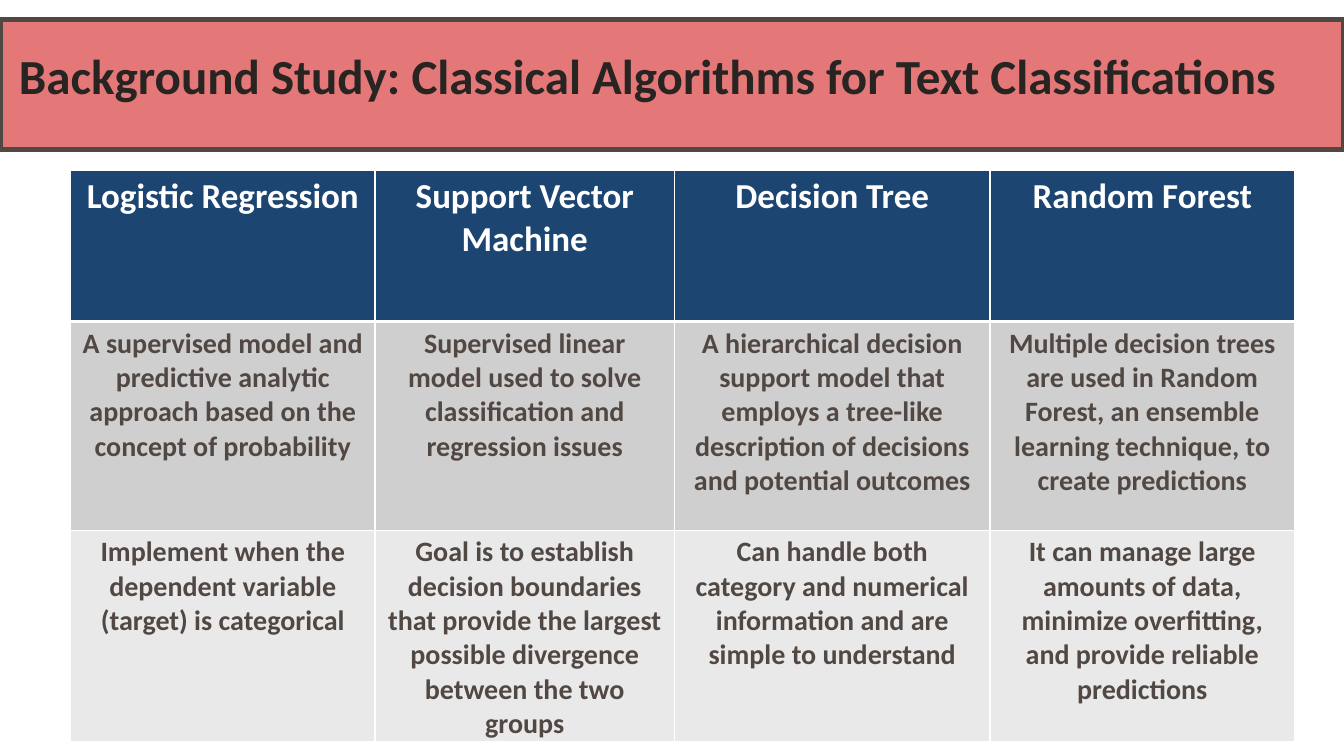
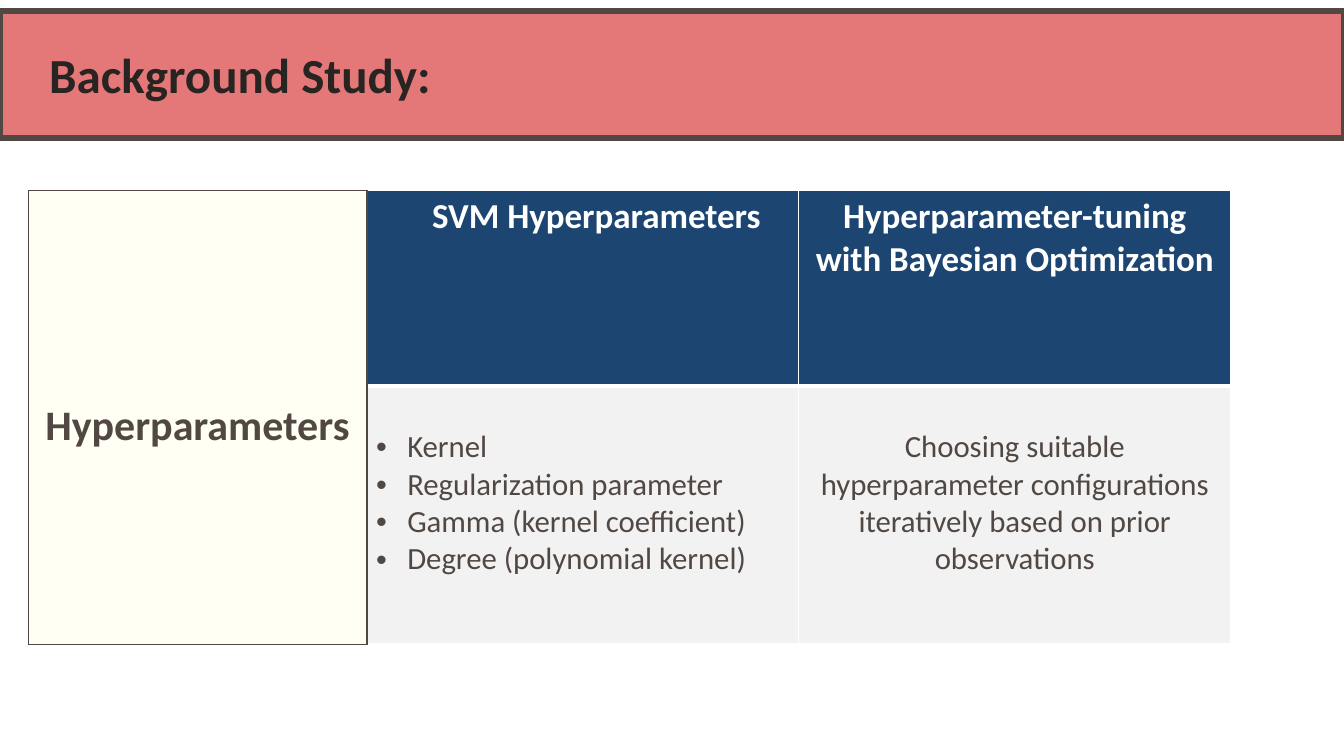
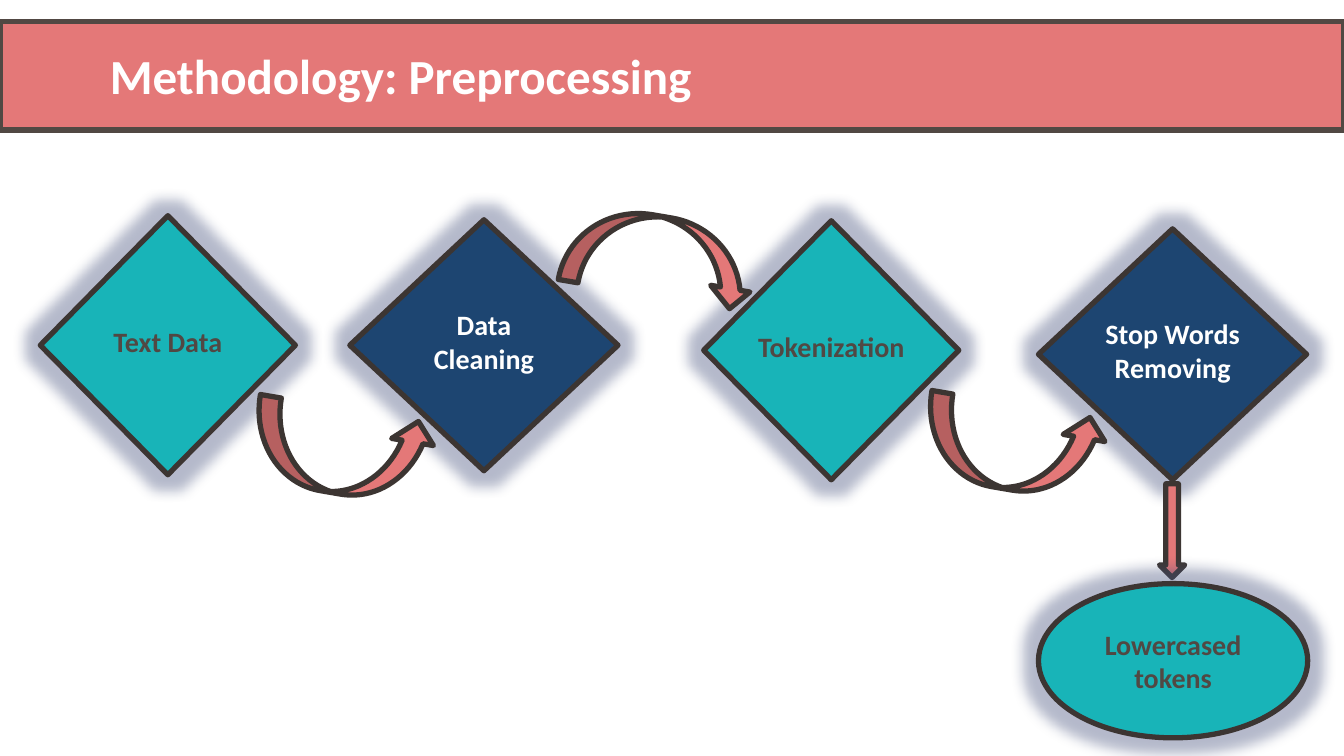
from lxml import etree
from pptx import Presentation
from pptx.dml.color import RGBColor
from pptx.enum.shapes import MSO_SHAPE
from pptx.enum.text import MSO_ANCHOR, MSO_AUTO_SIZE, PP_ALIGN
from pptx.oxml.ns import qn
from pptx.util import Inches, Pt

CENTER, LEFT = PP_ALIGN.CENTER, PP_ALIGN.LEFT
TOP, MIDDLE = MSO_ANCHOR.TOP, MSO_ANCHOR.MIDDLE
GROW = MSO_AUTO_SIZE.SHAPE_TO_FIT_TEXT
RECTANGLE, DIAMOND, OVAL = MSO_SHAPE.RECTANGLE, MSO_SHAPE.DIAMOND, MSO_SHAPE.OVAL
CURVED_UP, CURVED_DOWN = MSO_SHAPE.CURVED_UP_ARROW, MSO_SHAPE.CURVED_DOWN_ARROW
DOWN = MSO_SHAPE.DOWN_ARROW

FONT = "Calibri"
WHITE = RGBColor(0xFF, 0xFF, 0xFF)
CORAL = RGBColor(0xE4, 0x78, 0x78)
BROWN = RGBColor(0x51, 0x48, 0x43)
DARK_BROWN = RGBColor(0x3C, 0x35, 0x32)
INK = RGBColor(0x28, 0x24, 0x22)
NAVY = RGBColor(0x1D, 0x45, 0x71)
TEAL = RGBColor(0x18, 0xB4, 0xB8)
CREAM = RGBColor(0xFF, 0xFF, 0xF3)
GRAY = RGBColor(0xD0, 0xCF, 0xCF)
LIGHT_GRAY = RGBColor(0xE9, 0xE9, 0xE9)
PALE_GRAY = RGBColor(0xF2, 0xF2, 0xF2)
GLOW = RGBColor(0x46, 0x52, 0x7D)

SLIDE_WIDTH, SLIDE_HEIGHT = 13.33, 7.5
LINE_WIDTH = 3.78

ALGORITHMS = [
    ("Logistic Regression", "Support Vector Machine", "Decision Tree", "Random Forest"),
    (
        "A supervised model and predictive analytic approach based on the concept of probability",
        "Supervised linear model used to solve classification and regression issues",
        "A hierarchical decision support model that employs a tree-like description of decisions "
        "and potential outcomes",
        "Multiple decision trees are used in Random Forest, an ensemble learning technique, "
        "to create predictions",
    ),
    (
        "Implement when the dependent variable (target) is categorical",
        "Goal is to establish decision boundaries that provide the largest possible divergence "
        "between the two groups",
        "Can handle both category and numerical information and are simple to understand",
        "It can manage large amounts of data, minimize overfitting, and provide reliable predictions",
    ),
]
TUNING_HEADERS = ("SVM Hyperparameters", "Hyperparameter-tuning with Bayesian Optimization")
SVM_HYPERPARAMETERS = [
    "Kernel",
    "Regularization parameter",
    "Gamma (kernel coefficient)",
    "Degree (polynomial kernel)",
]
TUNING_SUMMARY = "Choosing suitable hyperparameter configurations iteratively based on prior observations"

STEPS = [
    ("Text Data", DIAMOND, (0.4, 2.14, 2.53, 2.57), TEAL, BROWN, (1.46, 0.44)),
    ("Data Cleaning", DIAMOND, (3.47, 2.18, 2.66, 2.49), NAVY, WHITE, (1.54, 0.77)),
    ("Tokenization", DIAMOND, (6.98, 2.19, 2.53, 2.57), TEAL, BROWN, (1.69, 0.44)),
    ("Stop Words Removing", DIAMOND, (10.3, 2.27, 2.66, 2.49), NAVY, WHITE, (1.71, 0.77)),
]
RESULT = ("Lowercased tokens", OVAL, (10.3, 5.79, 2.67, 1.53), TEAL, BROWN, (1.98, 0.77))
ARROWS = [
    (CURVED_UP, (2.5, 4.06, 1.8, 0.84), 9.7),
    (CURVED_DOWN, (5.59, 2.15, 1.92, 0.79), 9.7),
    (CURVED_UP, (9.16, 4.02, 1.8, 0.84), 9.7),
    (DOWN, (11.5, 4.8, 0.25, 0.93), 0),
]


def inches(box):
    return [Inches(value) for value in box]


def write(text_frame, lines, size, color, bold=True, align=CENTER):
    for index, line in enumerate(lines):
        paragraph = text_frame.paragraphs[0] if index == 0 else text_frame.add_paragraph()
        paragraph.text = line
        paragraph.alignment = align
        font = paragraph.runs[0].font
        font.name, font.size, font.bold = FONT, Pt(size), bold
        font.color.rgb = color


def add_text(slide, box, text, size, color, align=CENTER, anchor=MIDDLE):
    text_frame = slide.shapes.add_textbox(*inches(box)).text_frame
    text_frame.word_wrap = True
    text_frame.auto_size = GROW
    text_frame.vertical_anchor = anchor
    write(text_frame, [text], size, color, align=align)


def add_outlined(slide, preset, box, fill, line):
    shape = slide.shapes.add_shape(preset, *inches(box))
    shape.shadow.inherit = False
    shape.fill.solid()
    shape.fill.fore_color.rgb = fill
    shape.line.color.rgb = line
    shape.line.width = Pt(LINE_WIDTH)
    return shape


def add_titled_slide(presentation, title, band, title_box, color=INK):
    slide = presentation.slides.add_slide(presentation.slide_layouts[6])
    top, height = band
    left, title_top, width = title_box
    add_outlined(slide, RECTANGLE, (0, top, SLIDE_WIDTH, height), CORAL, BROWN)
    add_text(slide, (left, title_top, width, 0.69), title, 35, color, LEFT, TOP)
    return slide


def add_grid(slide, left, top, widths, heights):
    box = inches((left, top, sum(widths), sum(heights)))
    table = slide.shapes.add_table(len(heights), len(widths), *box).table
    table.horz_banding = False
    for column, width in zip(table.columns, widths):
        column.width = Inches(width)
    for row, height in zip(table.rows, heights):
        row.height = Inches(height)
    return table


def fill_cell(cell, lines, size, color, fill, bold=True, align=CENTER, border=WHITE, bottom=1):
    cell.fill.solid()
    cell.fill.fore_color.rgb = fill
    write(cell.text_frame, lines, size, color, bold, align)
    properties = cell._tc.get_or_add_tcPr()
    for position, side in enumerate("LRTB"):
        width = Pt(bottom if side == "B" else 1)
        line = etree.Element(qn(f"a:ln{side}"), w=str(width))
        solid = etree.SubElement(line, qn("a:solidFill"))
        etree.SubElement(solid, qn("a:srgbClr"), val=str(border))
        properties.insert(position, line)


def fill_header(table, headers):
    for column, header in enumerate(headers):
        fill_cell(table.cell(0, column), [header], 25, WHITE, NAVY, bottom=3)


def add_bullet(paragraph):
    indent = Inches(0.31)
    properties = paragraph._p.get_or_add_pPr()
    properties.set("marL", str(indent))
    properties.set("indent", str(-indent))
    etree.SubElement(properties, qn("a:buFont"), typeface="Arial")
    etree.SubElement(properties, qn("a:buChar"), char="•")


def add_glow(shape):
    effects = shape._element.spPr.find(qn("a:effectLst"))
    glow = etree.SubElement(effects, qn("a:glow"), rad=str(Pt(18)))
    color = etree.SubElement(glow, qn("a:srgbClr"), val=str(GLOW))
    etree.SubElement(color, qn("a:alpha"), val="40000")


def add_step(slide, label, preset, box, fill, color, label_size):
    add_glow(add_outlined(slide, preset, box, fill, DARK_BROWN))
    left, top, width, height = box
    label_width, label_height = label_size
    lift = 0.04 if preset == DIAMOND else 0
    label_left = left + (width - label_width) / 2
    label_top = top + (height - label_height) / 2 - lift
    add_text(slide, (label_left, label_top, label_width, label_height), label, 20, color)


def build_algorithms(presentation):
    title = "Background Study: Classical Algorithms for Text Classifications"
    slide = add_titled_slide(presentation, title, (0.19, 1.29), (0.09, 0.4, 13.13))
    table = add_grid(slide, 0.7, 1.69, (3.02, 2.97, 3.13, 3.02), (1.5, 2.07, 2.05))
    fill_header(table, ALGORITHMS[0])
    for row, fill in ((1, GRAY), (2, LIGHT_GRAY)):
        for column, text in enumerate(ALGORITHMS[row]):
            fill_cell(table.cell(row, column), [text], 20, BROWN, fill)


def build_hyperparameters(presentation):
    slide = add_titled_slide(presentation, "Background Study:", (0.11, 1.26), (0.39, 0.39, 12.54))
    table = add_grid(slide, 3.63, 1.89, (4.29, 4.29), (1.94, 2.56))
    fill_header(table, TUNING_HEADERS)
    table.cell(0, 0).margin_left = Inches(0.38)
    bodies = ((SVM_HYPERPARAMETERS, LEFT), ([TUNING_SUMMARY], CENTER))
    for column, (lines, align) in enumerate(bodies):
        cell = table.cell(1, column)
        fill_cell(cell, lines, 22, BROWN, PALE_GRAY, bold=False, align=align)
        cell.margin_top = Inches(0.42)
    for paragraph in table.cell(1, 0).text_frame.paragraphs:
        add_bullet(paragraph)
    label = add_grid(slide, 0.28, 1.89, (3.36,), (4.5,)).cell(0, 0)
    fill_cell(label, ["Hyperparameters"], 30, BROWN, CREAM, border=BROWN)
    label.margin_top = Inches(2.08)


def build_preprocessing(presentation):
    title = "Methodology: Preprocessing"
    slide = add_titled_slide(presentation, title, (0.21, 1.08), (0.99, 0.4, 13.1 - 0.99), WHITE)
    for step in STEPS:
        add_step(slide, *step)
    for preset, box, rotation in ARROWS:
        add_outlined(slide, preset, box, CORAL, DARK_BROWN).rotation = rotation
    add_step(slide, *RESULT)


def main():
    presentation = Presentation()
    presentation.slide_width = Inches(SLIDE_WIDTH)
    presentation.slide_height = Inches(SLIDE_HEIGHT)
    build_algorithms(presentation)
    build_hyperparameters(presentation)
    build_preprocessing(presentation)
    presentation.save("out.pptx")


if __name__ == "__main__":
    main()
